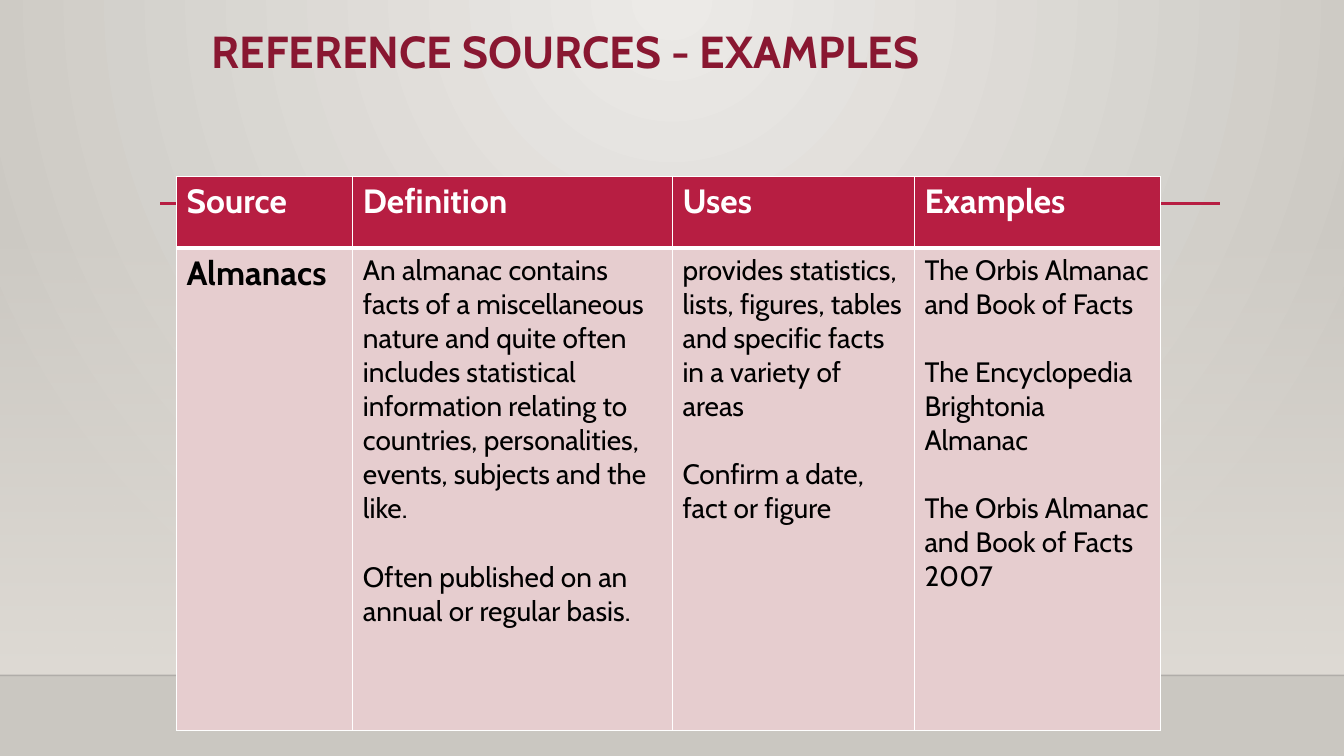
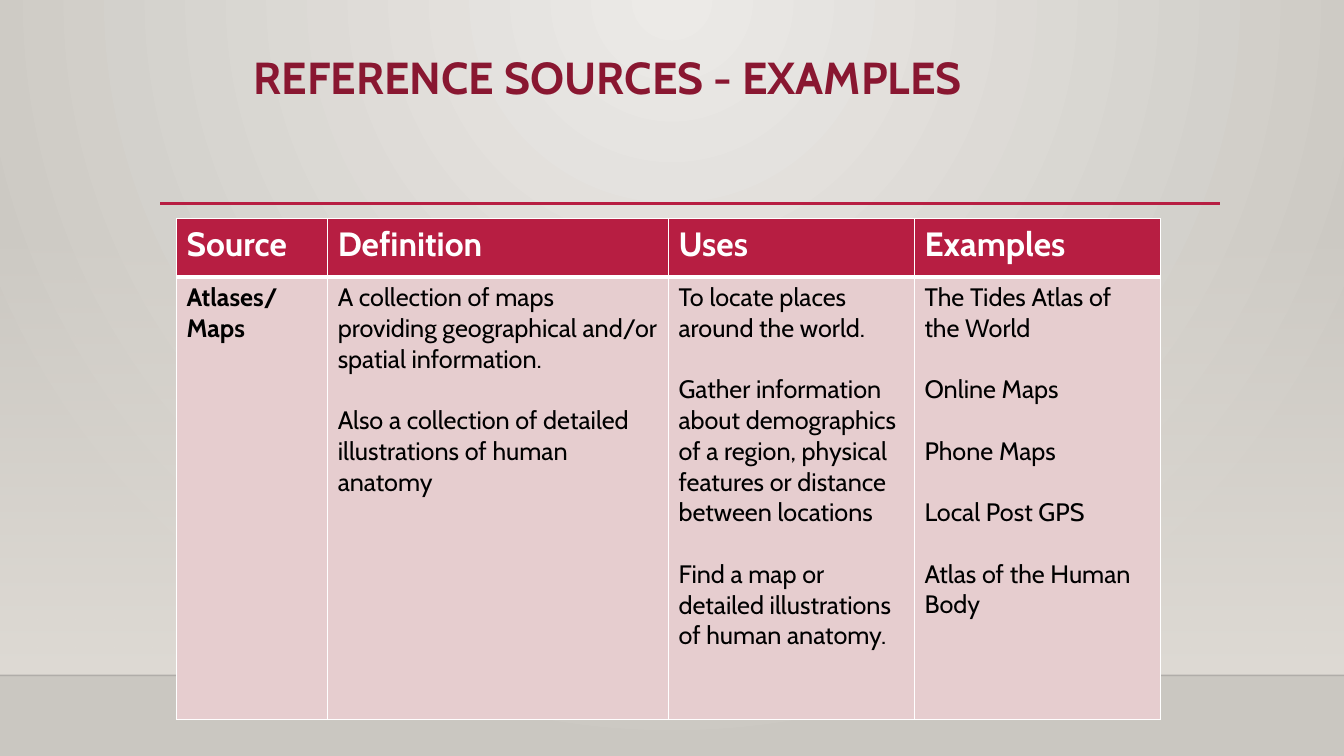
from lxml import etree
from pptx import Presentation
from pptx.dml.color import RGBColor
from pptx.enum.shapes import MSO_CONNECTOR as CONN, MSO_SHAPE as SHAPE
from pptx.enum.text import MSO_ANCHOR as ANCHOR
from pptx.oxml.ns import qn
from pptx.util import Pt

PX = 9144
W, H = 1333, 750
FLOOR_Y = 670
FONT = "Cabin"
LINE_HEIGHT = 1.215

WHITE = RGBColor(0xFF, 0xFF, 0xFF)
BLACK = RGBColor(0x00, 0x00, 0x00)
FLOOR_LINE = RGBColor(0x00, 0x00, 0x01)
CRIMSON = RGBColor(0xB7, 0x1E, 0x42)
WINE = RGBColor(0x89, 0x17, 0x31)
PINK = RGBColor(0xE6, 0xCD, 0xCF)
BG_LIGHT = RGBColor(0xEC, 0xEA, 0xE7)
BG_DARK = RGBColor(0xCA, 0xC7, 0xC1)
HAZE = RGBColor(0xDF, 0xDB, 0xD5)

TITLE = "REFERENCE SOURCES - EXAMPLES"
HEADERS = ["Source", "Definition", "Uses", "Examples"]
SLIDES = [
    dict(
        title_box=(200, 25, 934, 108), top=175, cols=[175, 317, 240, 244],
        rows=[71, 479], label_size=24, size=20,
        body=[
            ["Almanacs"],
            ["An almanac contains facts of a miscellaneous nature and quite often "
             "includes statistical information relating to countries, "
             "personalities, events, subjects and the like.",
             "Often published on an annual or regular basis."],
            ["provides statistics, lists, figures, tables and specific facts in a "
             "variety of areas",
             "Confirm a date, fact or figure"],
            ["The Orbis Almanac and Book of Facts",
             "The Encyclopedia Brightonia Almanac",
             "The Orbis Almanac and Book of Facts 2007"],
        ],
    ),
    dict(
        title_box=(242, 50, 825, 119), top=217, cols=[150, 338, 244, 244],
        rows=[58, 439], label_size=18, size=18,
        body=[
            ["Atlases/ Maps"],
            ["A collection of maps providing geographical and/or spatial "
             "information.",
             "Also a collection of detailed illustrations of human anatomy"],
            ["To locate places around the world.",
             "Gather information about demographics of a region, physical "
             "features or distance between locations",
             "Find a map or detailed illustrations of human anatomy."],
            ["The Tides Atlas of the World", "Online Maps", "Phone Maps",
             "Local Post GPS", "Atlas of the Human Body"],
        ],
    ),
]


def add_line(s, x1, x2, y, color, width, alpha=100):
    ln = s.shapes.add_connector(CONN.STRAIGHT, x1 * PX, y * PX, x2 * PX, y * PX)
    ln.line.color.rgb = color
    ln.line.width = Pt(width)
    clr = ln.element.spPr.find(".//" + qn("a:srgbClr"))
    etree.SubElement(clr, qn("a:alpha"), val=str(alpha * 1000))
    etree.SubElement(ln.element.spPr, qn("a:effectLst"))


def fill_cell(cell, texts, size, color, bold, fill, borders):
    tcPr = cell._tc.get_or_add_tcPr()
    for side, width in zip("LRTB", borders):
        ln = etree.SubElement(tcPr, qn("a:ln" + side), w=str(Pt(width)))
        solid = etree.SubElement(ln, qn("a:solidFill"))
        etree.SubElement(solid, qn("a:srgbClr"), val=str(WHITE))
    cell.fill.solid()
    cell.fill.fore_color.rgb = fill
    tf = cell.text_frame
    tf.text = "\n".join(texts)
    for i, p in enumerate(tf.paragraphs):
        if i:
            p.space_before = Pt(round(size * LINE_HEIGHT, 1))
        f = p.runs[0].font
        f.name, f.size, f.bold = FONT, Pt(size), bold
        f.color.rgb = color


prs = Presentation()
prs.slide_width, prs.slide_height = W * PX, H * PX

master = prs.slide_master
bg = master.background.fill
bg.gradient()
for stop, color in zip(bg.gradient_stops, (BG_LIGHT, BG_DARK)):
    stop.color.rgb = color
lin = master.element.find(".//" + qn("p:bgPr")).find(".//" + qn("a:lin"))
glow = etree.Element(qn("a:path"), path="circle")
etree.SubElement(glow, qn("a:fillToRect"), l="43000", t="0", r="43000", b="100000")
lin.getparent().replace(lin, glow)

for data in SLIDES:
    s = prs.slides.add_slide(prs.slide_layouts[6])

    haze = s.shapes.add_shape(SHAPE.RECTANGLE, 0, 221 * PX, W * PX, 449 * PX)
    haze.shadow.inherit = False
    haze.line.fill.background()
    haze.fill.gradient()
    haze.fill.gradient_angle = 270
    for stop in haze.fill.gradient_stops:
        stop.color.rgb = HAZE
    clear = haze.element.spPr.find(".//" + qn("a:srgbClr"))
    etree.SubElement(clear, qn("a:alpha"), val="0")

    add_line(s, 0, W, FLOOR_Y, FLOOR_LINE, 1, alpha=20)
    add_line(s, 159, 1210, 202, CRIMSON, 2.5)

    sp = s.shapes.add_textbox(*(v * PX for v in data["title_box"]))
    tf = sp.text_frame
    tf.word_wrap = True
    tf.vertical_anchor = ANCHOR.TOP
    tf.text = TITLE
    p = tf.paragraphs[0]
    p.line_spacing = 0.9
    f = p.runs[0].font
    f.name, f.size, f.bold = FONT, Pt(32), True
    f.color.rgb = WINE

    cols, rows = data["cols"], data["rows"]
    tbl = s.shapes.add_table(len(rows), len(cols), 175 * PX, data["top"] * PX,
                             sum(cols) * PX, sum(rows) * PX).table
    tbl.first_row = tbl.horz_banding = False
    for row, height in zip(tbl.rows, rows):
        row.height = height * PX
    for c, width in enumerate(cols):
        tbl.columns[c].width = width * PX
        fill_cell(tbl.cell(0, c), [HEADERS[c]], 24, WHITE, True, CRIMSON, (1, 1, 1, 3))
        size = data["size"] if c else data["label_size"]
        fill_cell(tbl.cell(1, c), data["body"][c], size, BLACK, c == 0, PINK, (1, 1, 3, 1))

prs.save("out.pptx")
